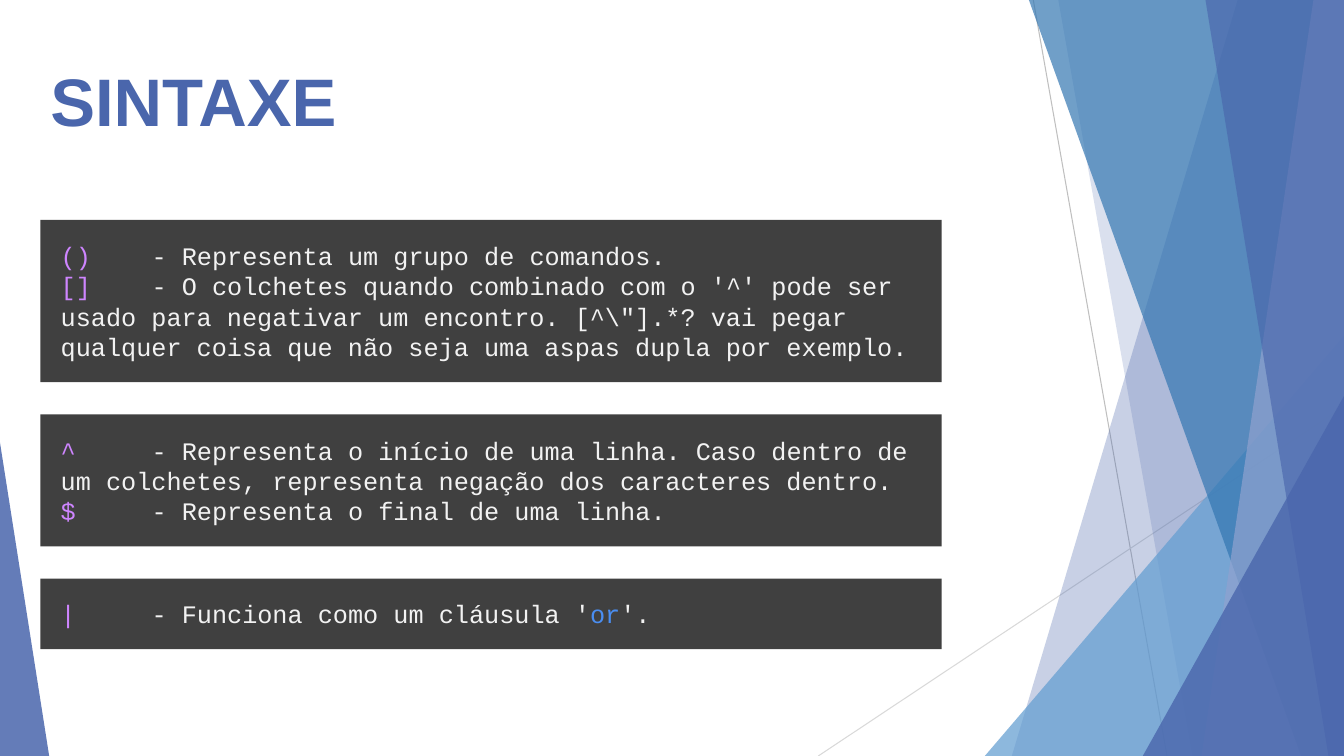
from dataclasses import dataclass
from typing import NamedTuple

from lxml.etree import SubElement
from pptx import Presentation
from pptx.dml.color import RGBColor as Rgb
from pptx.enum.shapes import MSO_CONNECTOR as Connector
from pptx.enum.shapes import MSO_SHAPE as Preset
from pptx.enum.text import MSO_ANCHOR as Anchor
from pptx.enum.text import MSO_AUTO_SIZE as AutoSize
from pptx.enum.text import PP_ALIGN as Align
from pptx.oxml.ns import qn
from pptx.shapes.autoshape import Shape
from pptx.slide import Slide
from pptx.util import Cm, Pt


@dataclass(frozen=True)
class Theme:
    indigo: str = "4A66AC"
    lavender: str = "90A2CF"
    ocean: str = "3477B2"
    sky: str = "629DD1"
    panel: str = "404040"
    symbol: str = "CE85FF"
    code: str = "F2F2F2"
    keyword: str = "4A8EF2"
    steep_line: str = "BFBFBF"
    shallow_line: str = "D9D9D9"
    title_font: str = "Arial"
    code_font: str = "Courier New"
    title_size: Pt = Pt(48)
    code_size: Pt = Pt(18)
    line_width: Pt = Pt(0.75)


class Ray(NamedTuple):
    start: tuple[float, float]
    end: tuple[float, float]
    color: str


class Shard(NamedTuple):
    top_x: float
    bottom_x: float
    color: str
    opacity: int


class Wedge(NamedTuple):
    left: float
    top: float
    width: float
    apex: float
    color: str
    opacity: int


class Span(NamedTuple):
    text: str
    color: str


class Panel(NamedTuple):
    height: float
    paragraphs: list[list[Span]]


THEME = Theme()
WIDTH, HEIGHT = 33.87, 19.05
MARGIN = 1.02
PANEL_TOP, PANEL_WIDTH, PANEL_GAP, PANEL_INSET = 5.54, 22.71, 0.81, 0.51
DESCRIPTION_TAB = 2.29

RAYS = [
    Ray((26.04, 0), (29.41, HEIGHT), THEME.steep_line),
    Ray((WIDTH, 10.24), (20.62, HEIGHT), THEME.shallow_line),
]
FACETS = [
    Shard(31.19, 25.5, THEME.indigo, 30),
    Shard(26.67, 30.05, THEME.indigo, 20),
    Wedge(24.82, 8.46, 9.05, 1, THEME.sky, 72),
    Shard(25.93, 32.79, THEME.ocean, 70),
    Shard(33.1, 30.28, THEME.lavender, 70),
    Shard(30.38, 33.48, THEME.indigo, 65),
    Wedge(28.8, 9.98, 5.07, 1, THEME.indigo, 80),
    Wedge(0, 11.15, 1.24, 0, THEME.indigo, 85),
]


def entry(symbol: str, description: str) -> list[Span]:
    return [Span(symbol, THEME.symbol), Span(f"\t- {description}", THEME.code)]


PANELS = [
    Panel(4.09, [
        entry("()", "Representa um grupo de comandos."),
        entry("[]", "O colchetes quando combinado com o '^' pode ser usado para "
                    "negativar um encontro. [^\\\"].*? vai pegar qualquer coisa "
                    "que não seja uma aspas dupla por exemplo."),
    ]),
    Panel(3.33, [
        entry("^", "Representa o início de uma linha. Caso dentro de um "
                   "colchetes, representa negação dos caracteres dentro."),
        entry("$", "Representa o final de uma linha."),
    ]),
    Panel(1.78, [
        entry("|", "Funciona como um cláusula '")
        + [Span("or", THEME.keyword), Span("'.", THEME.code)],
    ]),
]


def paint(shape: Shape, color: str, opacity: int = 100) -> None:
    shape.shadow.inherit = False
    shape.line.fill.background()
    shape.fill.solid()
    shape.fill.fore_color.rgb = Rgb.from_string(color)
    if opacity < 100:
        tint = shape.element.spPr.find(f"{qn('a:solidFill')}/{qn('a:srgbClr')}")
        SubElement(tint, qn("a:alpha"), val=str(opacity * 1000))


def draw_ray(page: Slide, ray: Ray) -> None:
    line = page.shapes.add_connector(
        Connector.STRAIGHT, *map(Cm, ray.start + ray.end))
    line.line.color.rgb = Rgb.from_string(ray.color)
    line.line.width = THEME.line_width
    SubElement(line.element.spPr, qn("a:effectLst"))


def draw_shard(page: Slide, shard: Shard) -> None:
    builder = page.shapes.build_freeform(Cm(shard.top_x), 0)
    corners = [(WIDTH, 0), (WIDTH, HEIGHT), (shard.bottom_x, HEIGHT)]
    builder.add_line_segments([(Cm(x), Cm(y)) for x, y in corners], close=True)
    paint(builder.convert_to_shape(), shard.color, shard.opacity)


def draw_wedge(page: Slide, wedge: Wedge) -> None:
    triangle = page.shapes.add_shape(
        Preset.ISOSCELES_TRIANGLE, Cm(wedge.left), Cm(wedge.top),
        Cm(wedge.width), Cm(HEIGHT - wedge.top))
    triangle.adjustments[0] = wedge.apex
    paint(triangle, wedge.color, wedge.opacity)


def draw_title(page: Slide, text: str) -> None:
    box = page.shapes.add_textbox(Cm(MARGIN), Cm(1.47), Cm(25.86), Cm(2.06))
    frame = box.text_frame
    frame.word_wrap = True
    frame.vertical_anchor = Anchor.MIDDLE
    frame.text = text
    font = frame.paragraphs[0].runs[0].font
    font.name, font.size, font.bold = THEME.title_font, THEME.title_size, True
    font.color.rgb = Rgb.from_string(THEME.indigo)


def draw_panel(page: Slide, panel: Panel, top: float) -> None:
    box = page.shapes.add_shape(
        Preset.RECTANGLE, Cm(MARGIN), Cm(top), Cm(PANEL_WIDTH), Cm(panel.height))
    paint(box, THEME.panel)
    frame = box.text_frame
    frame.word_wrap = True
    frame.auto_size = AutoSize.SHAPE_TO_FIT_TEXT
    frame.vertical_anchor = Anchor.MIDDLE
    frame.margin_left = frame.margin_right = Cm(PANEL_INSET)
    frame.margin_top = frame.margin_bottom = Cm(PANEL_INSET)
    for index, spans in enumerate(panel.paragraphs):
        para = frame.add_paragraph() if index else frame.paragraphs[0]
        para.alignment = Align.LEFT
        tabs = SubElement(para._p.get_or_add_pPr(), qn("a:tabLst"))
        SubElement(tabs, qn("a:tab"), pos=str(Cm(DESCRIPTION_TAB)), algn="l")
        for span in spans:
            run = para.add_run()
            run.text = span.text
            run.font.name, run.font.size = THEME.code_font, THEME.code_size
            run.font.color.rgb = Rgb.from_string(span.color)


def main() -> None:
    deck = Presentation()
    deck.slide_width, deck.slide_height = Cm(WIDTH), Cm(HEIGHT)
    page = deck.slides.add_slide(deck.slide_layouts[6])
    for ray in RAYS:
        draw_ray(page, ray)
    for facet in FACETS:
        if isinstance(facet, Shard):
            draw_shard(page, facet)
        else:
            draw_wedge(page, facet)
    draw_title(page, "SINTAXE")
    top = PANEL_TOP
    for panel in PANELS:
        draw_panel(page, panel, top)
        top += panel.height + PANEL_GAP
    deck.save("out.pptx")


main()
